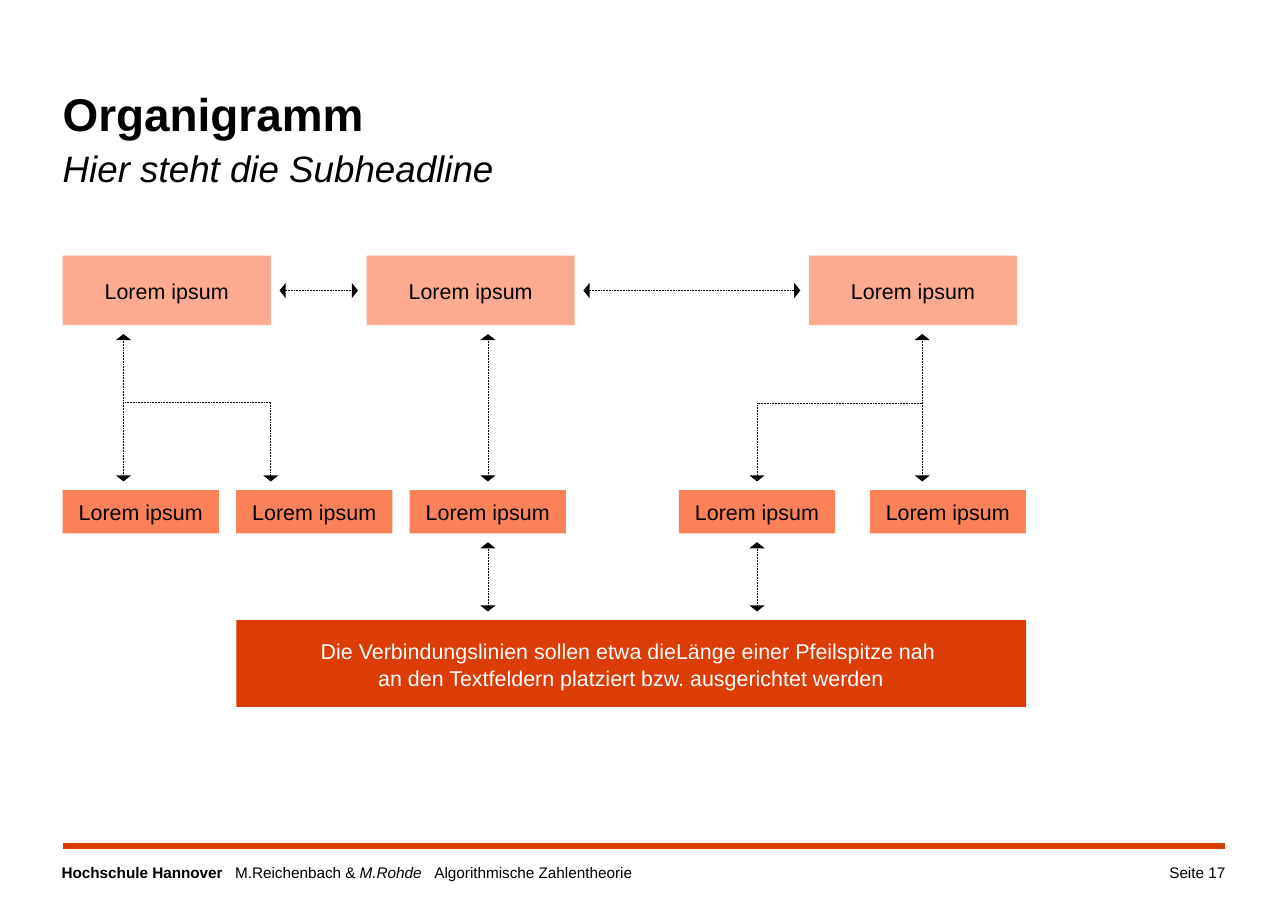
from dataclasses import dataclass
from typing import NamedTuple

from lxml.etree import SubElement
from pptx import Presentation
from pptx.dml.color import RGBColor as Rgb
from pptx.enum.dml import MSO_LINE as Dash
from pptx.enum.shapes import MSO_CONNECTOR as Link
from pptx.enum.shapes import MSO_SHAPE as Form
from pptx.enum.text import MSO_ANCHOR as Anchor
from pptx.enum.text import PP_ALIGN as Align
from pptx.oxml.ns import qn
from pptx.util import Pt


@dataclass(frozen=True)
class Theme:
    font: str = "Arial"
    black: Rgb = Rgb(0x00, 0x00, 0x00)
    white: Rgb = Rgb(0xFF, 0xFF, 0xFF)
    light: Rgb = Rgb(0xFC, 0xAB, 0x90)
    mid: Rgb = Rgb(0xFB, 0x82, 0x58)
    dark: Rgb = Rgb(0xDC, 0x3C, 0x05)
    title: int = 30
    sub: int = 24
    label: int = 14
    foot: int = 10


class Run(NamedTuple):
    text: str
    size: int
    color: Rgb
    bold: bool = False
    slant: bool = False


class Spot(NamedTuple):
    x: float
    y: float


class Box(NamedTuple):
    x: float
    y: float
    wide: float
    high: float
    fill: Rgb
    color: Rgb
    lines: tuple[str, ...]


THEME = Theme()
LEFT, RIGHT = 41, 800.7
GAP = 5.7  # space between an arrow tip and a box
TOP, TOP_HIGH, TOP_WIDE = 167.2, 45.4, 136
LOW, LOW_HIGH, LOW_WIDE = 320.4, 28.3, 102.1
STEP = 113.4
BASE, BASE_HIGH = 405.4, 56.7
TOP_XS = (LEFT, 239.6, 528.7)
LOW_XS = (LEFT, LEFT + STEP, LEFT + 2 * STEP, 443.7, 568.4)


def write(par, runs: list[Run]) -> None:
    for item in runs:
        run = par.add_run()
        run.text = item.text
        font = run.font
        font.name, font.size = THEME.font, Pt(item.size)
        font.bold, font.italic = item.bold, item.slant
        font.color.rgb = item.color


def add_text(slide, x: float, y: float, wide: float, high: float):
    """Add a text box without insets and return its first paragraph."""
    frame = slide.shapes.add_textbox(Pt(x), Pt(y), Pt(wide), Pt(high)).text_frame
    frame.word_wrap = True
    frame.margin_left = frame.margin_right = 0
    frame.margin_top = frame.margin_bottom = 0
    return frame.paragraphs[0]


def add_box(slide, box: Box) -> None:
    shape = slide.shapes.add_shape(
        Form.RECTANGLE, Pt(box.x), Pt(box.y), Pt(box.wide), Pt(box.high))
    shape.shadow.inherit = False
    shape.fill.solid()
    shape.fill.fore_color.rgb = box.fill
    shape.line.fill.background()
    frame = shape.text_frame
    frame.word_wrap = False
    frame.vertical_anchor = Anchor.MIDDLE
    frame.margin_left = frame.margin_right = Pt(14.2)
    frame.margin_top = frame.margin_bottom = Pt(10.8)
    for index, line in enumerate(box.lines):
        par = frame.add_paragraph() if index else frame.paragraphs[0]
        par.alignment = Align.CENTER
        par.line_spacing = 1.05
        write(par, [Run(line, THEME.label, box.color)])


def add_line(slide, start: Spot, end: Spot):
    line = slide.shapes.add_connector(
        Link.STRAIGHT, Pt(start.x), Pt(start.y), Pt(end.x), Pt(end.y))
    SubElement(line._element.spPr, qn("a:effectLst"))
    return line


def dot(line, *ends: str) -> None:
    """Make a line thin and dotted, with arrowheads at the given ends."""
    line.width = Pt(0.5)
    line.color.rgb = THEME.black
    line.dash_style = Dash.ROUND_DOT
    for end in ends:
        SubElement(line._get_or_add_ln(), qn(f"a:{end}"),
                   type="triangle", w="lg", len="sm")


def add_arrow(slide, start: Spot, end: Spot) -> None:
    dot(add_line(slide, start, end).line, "headEnd", "tailEnd")


def add_branch(slide, start: Spot, end: Spot) -> None:
    """Draw an arrow that runs sideways, then down to its end."""
    pen = slide.shapes.build_freeform(Pt(start.x), Pt(start.y))
    pen.add_line_segments(
        [(Pt(end.x), Pt(start.y)), (Pt(end.x), Pt(end.y))], close=False)
    shape = pen.convert_to_shape()
    shape.shadow.inherit = False
    shape.fill.background()
    dot(shape.line, "tailEnd")


def add_title(slide) -> None:
    par = add_text(slide, LEFT, 52.6, RIGHT - LEFT, 74.9)
    par.line_spacing = 1.1
    write(par, [Run("Organigramm", THEME.title, THEME.black, bold=True)])
    par.add_line_break()
    write(par, [Run("Hier steht die Subheadline", THEME.sub, THEME.black,
                    slant=True)])


def add_foot(slide) -> None:
    rule = add_line(slide, Spot(LEFT, 552.8), Spot(RIGHT, 552.8)).line
    rule.width = Pt(4)
    rule.color.rgb = THEME.dark
    size, black = THEME.foot, THEME.black
    par = add_text(slide, 40.3, 564.5, 607.7, 17.3)
    tabs = SubElement(par._p.get_or_add_pPr(), qn("a:tabLst"))
    for stop in (113.4, 243.6):
        SubElement(tabs, qn("a:tab"), pos=str(Pt(stop)), algn="l")
    write(par, [
        Run("Hochschule Hannover", size, black, bold=True),
        Run("\tM.Reichenbach & ", size, black),
        Run("M.Rohde", size, black, slant=True),
        Run("\tAlgorithmische Zahlentheorie", size, black),
    ])
    page = add_text(slide, RIGHT - 96.5, 564.5, 96.5, 18)
    page.alignment = Align.RIGHT
    write(page, [Run("Seite 17", size, black)])


def add_chart(slide) -> None:
    name = ("Lorem ipsum",)
    note = ("Die Verbindungslinien sollen etwa dieLänge einer Pfeilspitze nah ",
            "an den Textfeldern platziert bzw. ausgerichtet werden")
    boxes = [Box(x, TOP, TOP_WIDE, TOP_HIGH, THEME.light, THEME.black, name)
             for x in TOP_XS]
    boxes += [Box(x, LOW, LOW_WIDE, LOW_HIGH, THEME.mid, THEME.black, name)
              for x in LOW_XS]
    wide = LOW_XS[-1] + LOW_WIDE - LOW_XS[1]
    boxes.append(Box(LOW_XS[1], BASE, wide, BASE_HIGH,
                     THEME.dark, THEME.white, note))
    for box in boxes:
        add_box(slide, box)

    row = TOP + TOP_HIGH / 2
    for left, right in zip(TOP_XS, TOP_XS[1:]):
        add_arrow(slide, Spot(left + TOP_WIDE + GAP, row), Spot(right - GAP, row))

    first, last = 80.7, 602.7
    third, fourth = (x + LOW_WIDE / 2 for x in LOW_XS[2:4])
    tip = LOW - GAP
    for x in (first, third, last):
        add_arrow(slide, Spot(x, TOP + TOP_HIGH + GAP), Spot(x, tip))
    for x in (third, fourth):
        add_arrow(slide, Spot(x, LOW + LOW_HIGH + GAP), Spot(x, BASE - GAP))
    add_branch(slide, Spot(first, 263), Spot(LEFT + TOP_WIDE, tip))
    add_branch(slide, Spot(last, 263.5), Spot(fourth, tip))


def main() -> None:
    deck = Presentation()
    deck.slide_width, deck.slide_height = Pt(841.68), Pt(595.44)
    slide = deck.slides.add_slide(deck.slide_layouts[6])
    add_foot(slide)
    add_title(slide)
    add_chart(slide)
    deck.save("out.pptx")


if __name__ == "__main__":
    main()
